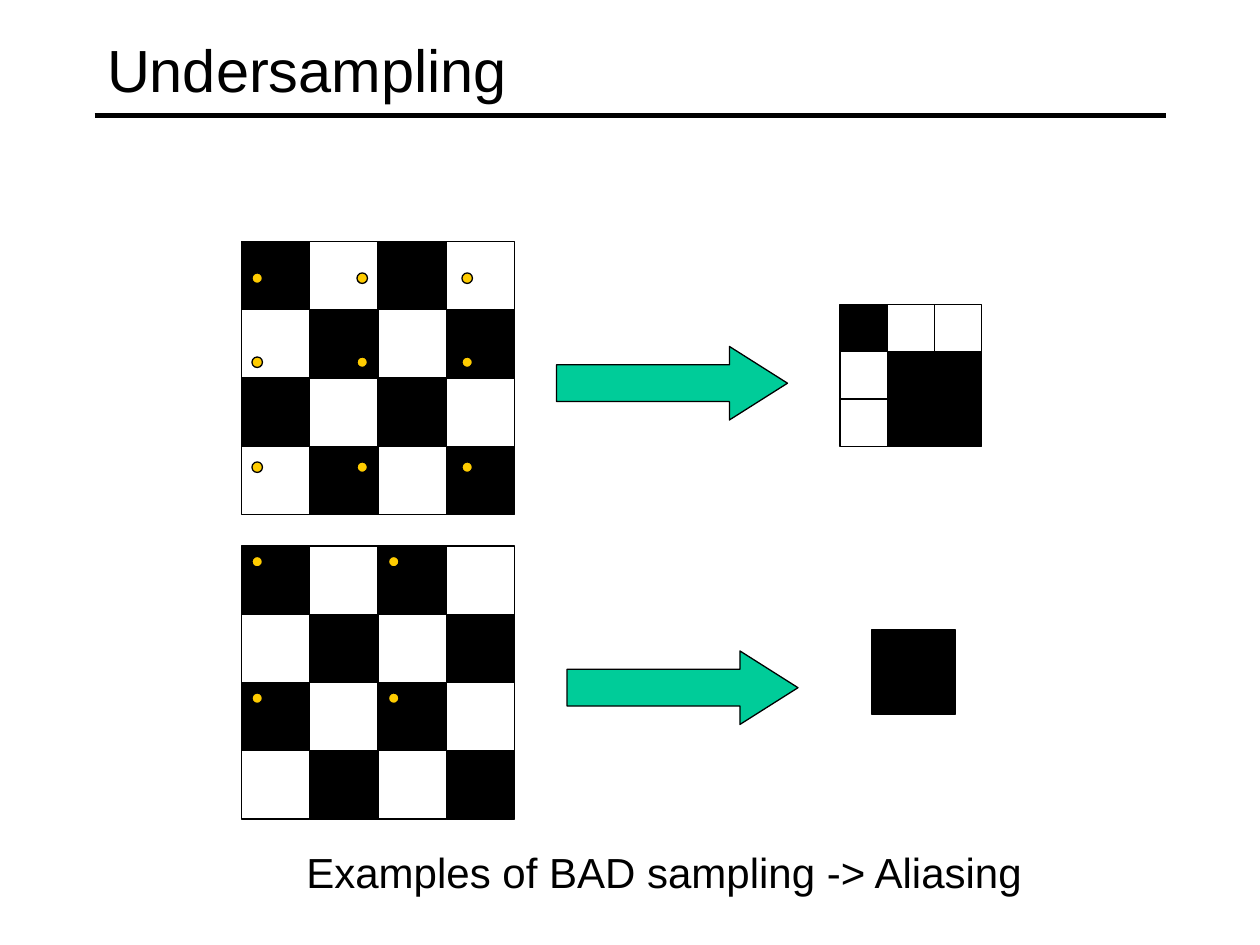
import pptx
import pptx.util
import pptx.dml.color
import pptx.enum.shapes
import pptx.enum.text
import pptx.oxml

Pt = pptx.util.Pt
RGB = pptx.dml.color.RGBColor
KIND = pptx.enum.shapes.MSO_SHAPE
TEXT = pptx.enum.text

BLACK = RGB(0x00, 0x00, 0x00)
GOLD = RGB(0xFF, 0xCC, 0x00)
GREEN = RGB(0x00, 0xCC, 0x99)
FONT = "Arial"

CHECKS = ["#.#.", ".#.#", "#.#.", ".#.#"]
CELL = 39
DOT = 6


def write(frame, text, size):
    frame.text = text
    para = frame.paragraphs[0]
    para.alignment = TEXT.PP_ALIGN.LEFT
    font = para.runs[0].font
    font.name, font.size, font.color.rgb = FONT, Pt(size), BLACK


def add_title(slide, text):
    title = slide.shapes.title
    title.left, title.top, title.width, title.height = Pt(54), Pt(6), Pt(612), Pt(66)
    title.text_frame.vertical_anchor = TEXT.MSO_ANCHOR.MIDDLE
    write(title.text_frame, text, 34)


def add_rule(slide):
    rule = slide.shapes.add_connector(
        pptx.enum.shapes.MSO_CONNECTOR.STRAIGHT, Pt(54), Pt(66), Pt(666), Pt(66))
    rule.line.color.rgb = BLACK
    rule.line.width = Pt(3)
    rule._element.spPr.append(pptx.oxml.parse_xml(
        '<a:effectLst xmlns:a="http://schemas.openxmlformats.org/drawingml/2006/main"/>'))


def add_label(slide, text):
    box = slide.shapes.add_textbox(Pt(168), Pt(480), Pt(425), Pt(36))
    box.text_frame.word_wrap = False
    box.text_frame.auto_size = TEXT.MSO_AUTO_SIZE.SHAPE_TO_FIT_TEXT
    write(box.text_frame, text, 24)


def add_shape(group, kind, left, top, width, height, fill=None):
    shape = group.shapes.add_shape(kind, Pt(left), Pt(top), Pt(width), Pt(height))
    shape.shadow.inherit = False
    if fill is None:
        shape.fill.background()
    else:
        shape.fill.solid()
        shape.fill.fore_color.rgb = fill
    shape.line.color.rgb = BLACK
    shape.line.width = Pt(0.75)
    return shape


def add_grid(group, left, top, size, rows):
    """Draw one square per mark: '#' is black, '.' is unfilled."""
    for i, row in enumerate(rows):
        for j, mark in enumerate(row):
            add_shape(group, KIND.RECTANGLE, left + j * size, top + i * size,
                      size, size, BLACK if mark == "#" else None)


def add_dots(group, lefts, tops):
    for top in tops:
        for left in lefts:
            add_shape(group, KIND.OVAL, left, top, DOT, DOT, GOLD)


def add_arrow(group, left, top):
    arrow = add_shape(group, KIND.RIGHT_ARROW, left, top, 132, 42, GREEN)
    arrow.adjustments[0] = 0.5
    arrow.adjustments[1] = 0.79


def main():
    deck = pptx.Presentation()
    deck.slide_width, deck.slide_height = Pt(720), Pt(540)
    slide = deck.slides.add_slide(deck.slide_layouts[5])

    # Heading and caption
    add_rule(slide)
    add_title(slide, "Undersampling")
    add_label(slide, "Examples of BAD sampling -> Aliasing")

    # Lower case: four samples give one black square
    low = slide.shapes.add_group_shape()
    add_grid(low, 138, 312, CELL, CHECKS)
    add_dots(low, [144, 222], [318, 396])
    add_grid(low, 498, 360, 48, ["#"])
    add_arrow(low, 324, 372)

    # Upper case: nine samples give a false pattern
    high = slide.shapes.add_group_shape()
    add_grid(high, 138, 138, CELL, CHECKS)
    add_dots(high, [144, 204, 264], [156, 204, 264])
    add_grid(high, 480, 174, 27, ["#..", ".##", ".##"])
    add_arrow(high, 318, 198)

    deck.save("out.pptx")


if __name__ == "__main__":
    main()
